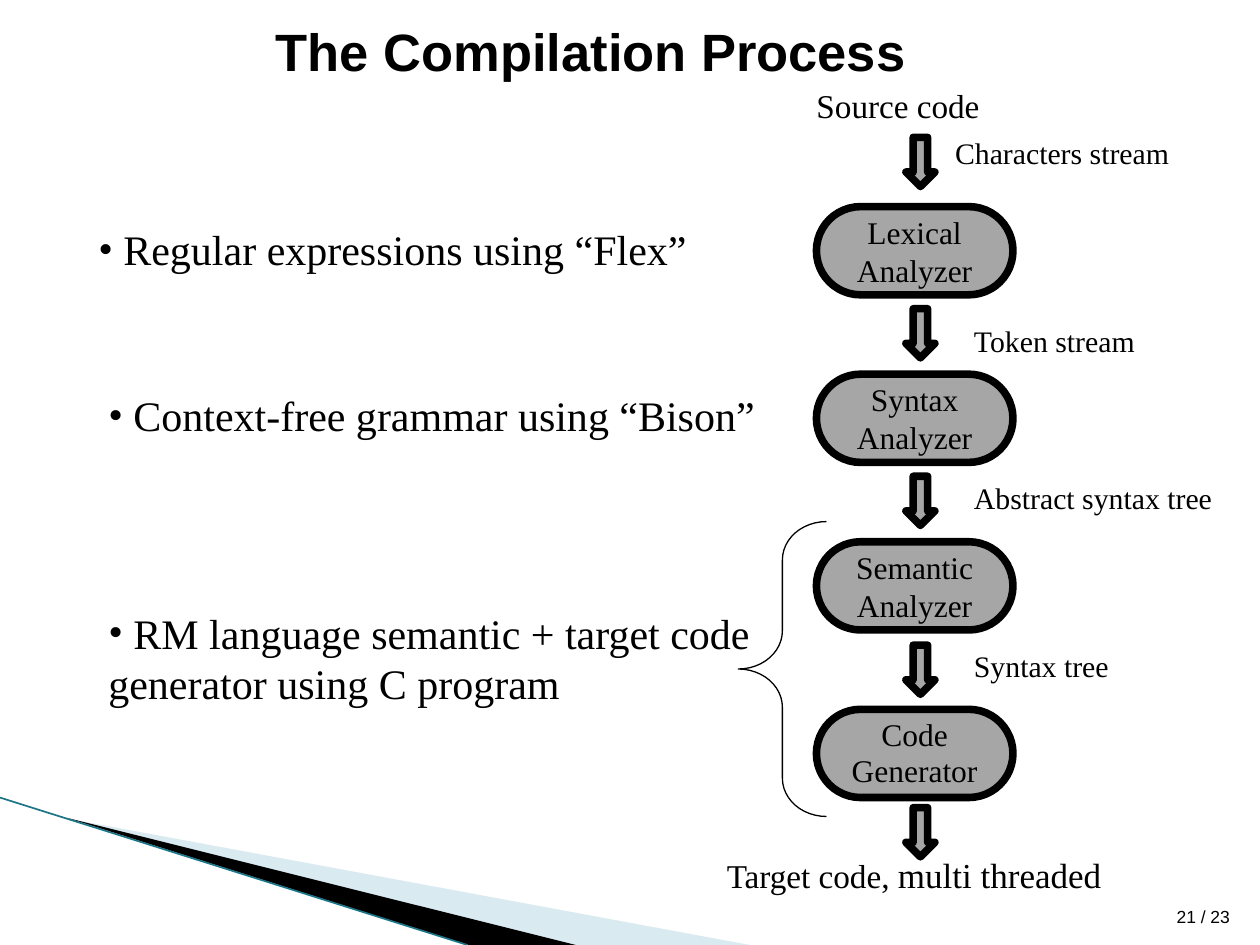
from lxml.etree import SubElement
from pptx import Presentation
from pptx.dml.color import RGBColor
from pptx.enum.shapes import MSO_CONNECTOR as Connector, MSO_SHAPE as Shape
from pptx.enum.text import MSO_ANCHOR as Anchor, MSO_AUTO_SIZE as AutoSize, PP_ALIGN as Align
from pptx.oxml.ns import qn
from pptx.util import Inches, Pt

BLACK = RGBColor(0x00, 0x00, 0x00)
GREY = RGBColor(0xA6, 0xA6, 0xA6)
PALE_BLUE = RGBColor(0xA0, 0xCB, 0xDC)
TEAL = RGBColor(0x1B, 0x75, 0x87)
SERIF = "Times New Roman"
SANS = "Arial"
COLUMNS, ROWS = 100, 75
CELL = Inches(0.1)


def grid(*cells):
    return [round(cell * CELL) for cell in cells]


def write(frame, *pieces, size=18, font=SERIF, bold=False, align=Align.LEFT,
          anchor=Anchor.TOP, spacing=0.95, inset=0, bullet=False):
    frame.word_wrap = True
    frame.auto_size = AutoSize.NONE
    frame.vertical_anchor = anchor
    frame.margin_left = frame.margin_right = Inches(inset)
    frame.margin_top = frame.margin_bottom = Inches(inset / 2)
    paragraph = frame.paragraphs[0]
    paragraph.alignment = align
    paragraph.line_spacing = spacing
    paragraph.space_before = Pt(0)
    for piece in pieces:
        words, points = piece if isinstance(piece, tuple) else (piece, size)
        run = paragraph.add_run()
        run.text = words
        run.font.name, run.font.size, run.font.bold = font, Pt(points), bold
        run.font.color.rgb = BLACK
    if bullet:
        properties = paragraph._p.get_or_add_pPr()
        properties.set("marL", "0")
        properties.set("indent", "0")
        SubElement(properties, qn("a:buFont")).set("typeface", SERIF)
        SubElement(properties, qn("a:buChar")).set("char", "•")


class ProcessSlide:
    def __init__(self, deck):
        self.slide = deck.slides.add_slide(deck.slide_layouts[4])
        self.shapes = self.slide.shapes
        self.spare = list(self.slide.placeholders)

    def placeholder(self, place, *pieces, **style):
        holder = self.spare.pop(0)
        holder.left, holder.top, holder.width, holder.height = grid(*place)
        write(holder.text_frame, *pieces, **style)

    def drop_spare(self):
        for holder in self.spare:
            holder.element.getparent().remove(holder.element)

    def label(self, place, *pieces, **style):
        write(self.shapes.add_textbox(*grid(*place)).text_frame, *pieces, **style)

    def outline(self, kind, place, fill=GREY, weight=4.33, adjustments=()):
        shape = self.shapes.add_shape(kind, *grid(*place))
        shape.shadow.inherit = False
        if fill is None:
            shape.fill.background()
        else:
            shape.fill.solid()
            shape.fill.fore_color.rgb = fill
        shape.line.color.rgb = BLACK
        shape.line.width = Pt(weight)
        for index, value in enumerate(adjustments):
            shape.adjustments[index] = value
        return shape

    def stage(self, place, words):
        box = self.outline(Shape.ROUNDED_RECTANGLE, place, adjustments=(0.5,))
        write(box.text_frame, words, align=Align.CENTER, anchor=Anchor.MIDDLE,
              spacing=0.95 if words == "Code Generator" else 1.0, inset=0.1)

    def wedge(self, corners, color, opacity=100):
        start, *others = [grid(*corner) for corner in corners]
        builder = self.shapes.build_freeform(*start)
        builder.add_line_segments(others, close=True)
        wedge = builder.convert_to_shape()
        wedge.shadow.inherit = False
        wedge.fill.solid()
        wedge.fill.fore_color.rgb = color
        wedge.line.fill.background()
        if opacity < 100:
            tint = wedge.fill._xPr.find(qn("a:solidFill"))[0]
            SubElement(tint, qn("a:alpha")).set("val", str(opacity * 1000))

    def stroke(self, start, end, color, weight):
        stroke = self.shapes.add_connector(Connector.STRAIGHT, *grid(*start, *end))
        stroke.line.color.rgb = color
        stroke.line.width = Pt(weight)
        SubElement(stroke._element.spPr, qn("a:effectLst"))


deck = Presentation()
deck.slide_width, deck.slide_height = grid(COLUMNS, ROWS)
process = ProcessSlide(deck)

process.wedge([(5.5, 65), (59.5, ROWS), (45.6, ROWS)], PALE_BLUE, opacity=40)
process.wedge([(5.3, 64.9), (45.7, ROWS), (37.2, ROWS)], BLACK)
process.stroke((0, 63.3), (37.1, ROWS), TEAL, 0.95)

process.placeholder((21.9, 1.9, 55.5, 4.8), "The Compilation Process",
                    size=30, font=SANS, bold=True)
TOOLS = [
    ((7.8, 18, 46.9, 3.8), " Regular expressions using “Flex”", 0.95),
    ((8.6, 31.2, 53.9, 3.8), " Context-free grammar using “Bison”", 0.95),
    ((8.6, 48.2, 57.8, 8.1),
     " RM language semantic + target code generator using C program", 1.0),
]
for place, words, spacing in TOOLS:
    process.placeholder(place, words, size=24, spacing=spacing, bullet=True)
process.drop_spare()

process.label((64.8, 7, 17.8, 3), "Source code", size=19)
process.label((49.8, 68, 45.5, 6.1), ("Target code, ", 19), ("multi threaded", 20),
              align=Align.CENTER)

STREAMS = [
    (75.8, 10.9, "Characters stream"),
    (77.3, 25.8, "Token stream"),
    (77.3, 38.3, "Abstract syntax tree"),
    (77.3, 51.6, "Syntax tree"),
]
for column, row, words in STREAMS:
    process.label((column, row, 20.3, 2.7), words, size=17)

STAGES = ["Lexical Analyzer", "Syntax Analyzer", "Semantic Analyzer", "Code Generator"]
for index, words in enumerate(STAGES):
    process.stage((64.8, 16.4 + 13.3 * index, 15.6, 7), words)
for row in (10.9, 24.5, 37.8, 51.2, 64.1):
    process.outline(Shape.DOWN_ARROW, (71.9, row, 2.3, 3.9))
process.outline(Shape.LEFT_BRACE, (58.6, 41.4, 7, 23.4), fill=None, weight=0.75,
                adjustments=(0.434, 0.5))

process.label((89.1, 70.1, 9.5, 4), "21 / 23", size=10, font=SANS,
              align=Align.RIGHT, anchor=Anchor.BOTTOM, spacing=1.0, inset=0.1)

deck.save("out.pptx")
